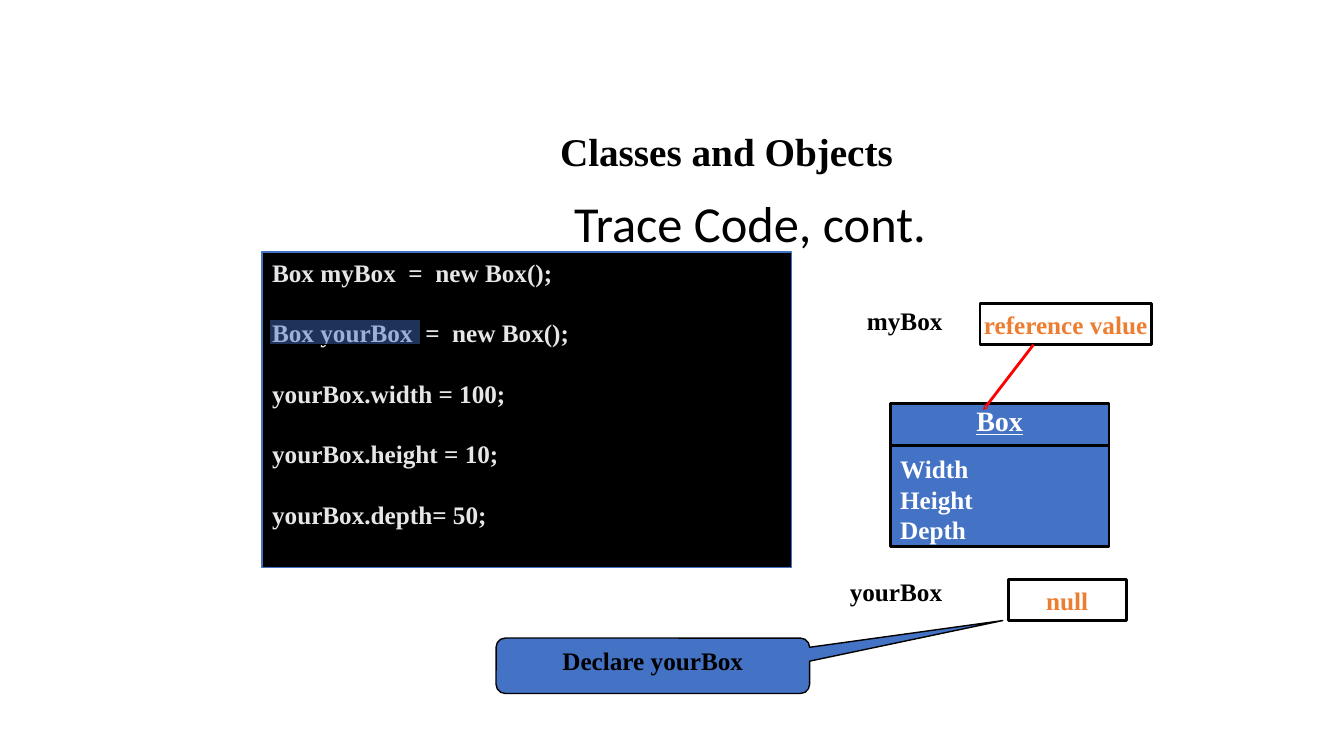
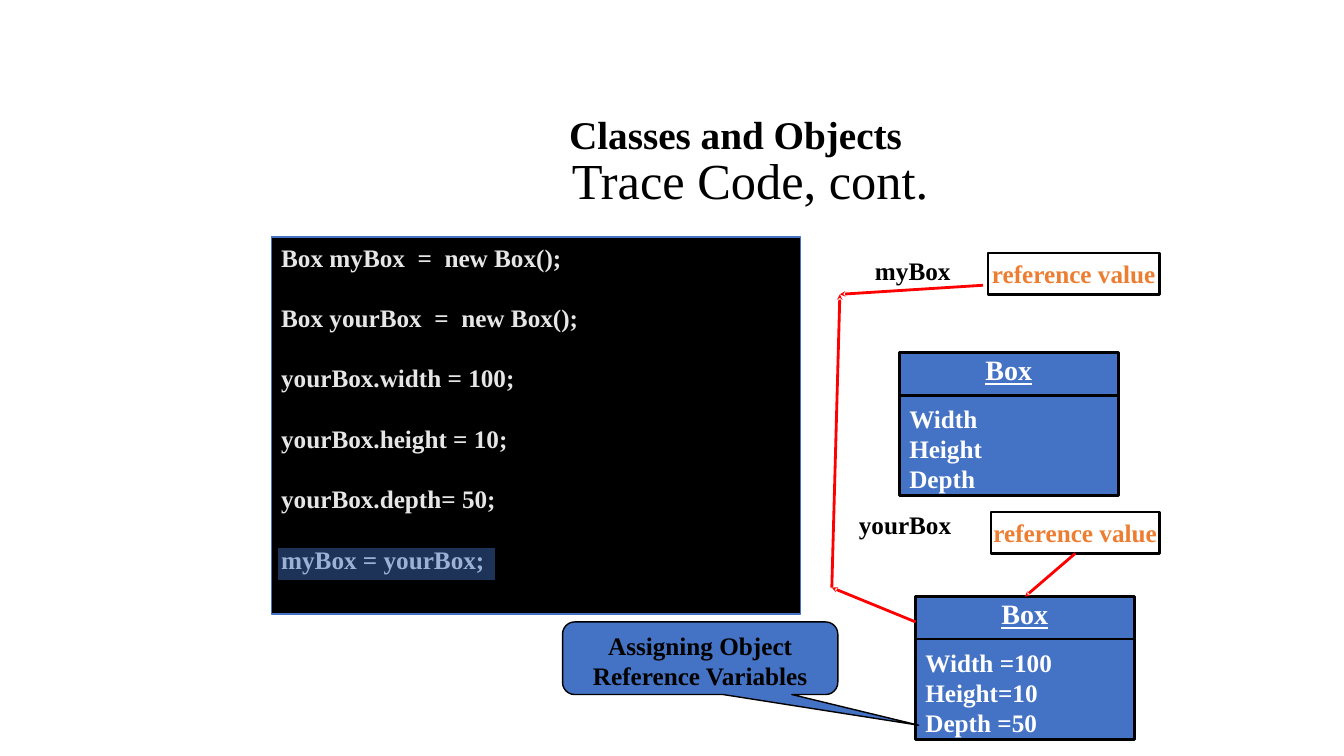
from lxml.etree import SubElement
from pptx import Presentation
from pptx.dml.color import RGBColor
from pptx.enum.shapes import MSO_CONNECTOR, MSO_SHAPE
from pptx.enum.text import MSO_ANCHOR, PP_ALIGN
from pptx.oxml.ns import qn
from pptx.util import Inches, Pt

BLACK = RGBColor(0x00, 0x00, 0x00)
WHITE = RGBColor(0xFF, 0xFF, 0xFF)
BLUE = RGBColor(0x44, 0x72, 0xC4)
ORANGE = RGBColor(0xED, 0x7D, 0x31)
GREY = RGBColor(0xE7, 0xE6, 0xE6)
RED = RGBColor(0xFF, 0x00, 0x00)
SERIF = "Times New Roman"
SANS = "Calibri"

CODE = [
    "Box myBox  =  new Box();",
    "Box yourBox  =  new Box();",
    "yourBox.width = 100;",
    "yourBox.height = 10;",
    "yourBox.depth= 50;",
]
CODE_GAP = 21.6
BAR = 0.42  # height of the name bar in an object box


def write(shape, lines, color, size=18, bold=True, font=SERIF,
          align=PP_ALIGN.LEFT, pad=(0.1, 0.05), anchor=MSO_ANCHOR.TOP,
          gap=0, space=None):
    frame = shape.text_frame
    frame.word_wrap = True
    frame.vertical_anchor = anchor
    frame.margin_left = frame.margin_right = Inches(pad[0])
    frame.margin_top = frame.margin_bottom = Inches(pad[1])
    for i, line in enumerate(lines):
        para = frame.add_paragraph() if i else frame.paragraphs[0]
        para.text = line
        para.alignment = align
        if i and gap:
            para.space_before = Pt(gap)
        if space:
            para.line_spacing = space
        para.font.name = font
        para.font.size = Pt(size)
        para.font.bold = bold
        para.font.color.rgb = color
    return frame


def add_text(slide, at, text, color=BLACK, **style):
    box = slide.shapes.add_textbox(*map(Inches, at))
    write(box, [text], color, **style)


def add_box(slide, at, fill=None, line=BLACK, width=1, kind=MSO_SHAPE.RECTANGLE):
    box = slide.shapes.add_shape(kind, *map(Inches, at))
    box.shadow.inherit = False
    if fill is None:
        box.fill.background()
    else:
        box.fill.solid()
        box.fill.fore_color.rgb = fill
    box.line.color.rgb = line
    box.line.width = Pt(width)
    return box


def add_line(slide, start, end, color=BLACK):
    line = slide.shapes.add_connector(
        MSO_CONNECTOR.STRAIGHT, *map(Inches, (*start, *end)))
    line.line.color.rgb = color
    line.line.width = Pt(2)
    SubElement(line._element.spPr, qn("a:effectLst"))
    return line


def add_arrow(slide, start, end):
    arrow = add_line(slide, start, end, RED)
    SubElement(arrow.line._get_or_add_ln(), qn("a:tailEnd"),
               type="stealth", w="sm", len="sm")
    return arrow


def add_heads(slide, top, title_top, font):
    left = 3.33 if font == SANS else 3.42
    add_text(slide, (left, top, 7.75, 0.58), "Classes and Objects", size=28,
             align=PP_ALIGN.CENTER, space=1.1)
    add_text(slide, (3.19, title_top, 8.5, 0.58), "Trace Code, cont.", size=36,
             bold=False, font=font, align=PP_ALIGN.CENTER, space=0.9)


def add_code(slide, at, lines):
    box = add_box(slide, at, BLACK, BLUE)
    write(box, lines, GREY, gap=CODE_GAP)


def add_mark(slide, at):
    mark = add_box(slide, at, BLUE)
    color = mark.fill._xPr.find(qn("a:solidFill"))[0]
    SubElement(color, qn("a:alpha"), val="45000")


def add_value(slide, left, top, width, text):
    box = add_box(slide, (left, top, width, 0.41), width=2)
    write(box, [text], ORANGE, align=PP_ALIGN.CENTER, pad=(0.01, 0.01),
          anchor=MSO_ANCHOR.MIDDLE)
    return box


def add_object(slide, left, top, fields):
    box = add_box(slide, (left, top, 2.17, 1.42), BLUE, width=2)
    paras = write(box, ["Box", *fields], WHITE, pad=(0.1, 0)).paragraphs
    paras[0].alignment = PP_ALIGN.CENTER
    paras[0].font.size = Pt(20)
    paras[0].font.underline = True
    paras[1].space_before = Pt(12)
    add_line(slide, (left, top + BAR), (left + 2.17, top + BAR))
    return box


def add_callout(slide, at, tip, text):
    box = add_box(slide, at, BLUE, kind=MSO_SHAPE.ROUNDED_RECTANGULAR_CALLOUT)
    box.adjustments[0], box.adjustments[1] = tip
    write(box, [text], BLACK, align=PP_ALIGN.CENTER)


def add_names(slide, mine, yours):
    add_text(slide, (*mine, 1.24, 0.4), "myBox")
    add_text(slide, (*yours, 1.34, 0.4), "yourBox")


def build_declare(slide):
    add_heads(slide, 1.17, 1.92, SANS)
    add_code(slide, (2.6, 2.5, 5.25, 3.13), CODE)
    add_mark(slide, (2.67, 3.17, 1.5, 0.25))
    # Variables and the object
    add_names(slide, (8.5, 2.98), (8.33, 5.67))
    add_value(slide, 9.72, 3.01, 1.7, "reference value")
    add_value(slide, 10, 5.75, 1.17, "null")
    add_object(slide, 8.83, 4, ["Width", "Height", "Depth"])
    add_arrow(slide, (10.25, 3.42), (9.75, 4.07))
    add_callout(slide, (4.92, 6.33, 3.11, 0.55), (1.116, -0.816),
                "Declare yourBox")


def build_assign(slide):
    add_heads(slide, 1, 1.5, SERIF)
    add_code(slide, (2.69, 2.35, 5.25, 3.74), [*CODE, "myBox = yourBox;"])
    add_mark(slide, (2.75, 5.43, 2.17, 0.33))
    # Variables and both objects
    add_names(slide, (8.58, 2.48), (8.42, 5))
    add_value(slide, 9.8, 2.51, 1.7, "reference value")
    yours = add_value(slide, 9.83, 5.08, 1.67, "reference value")
    add_object(slide, 8.92, 3.5, ["Width", "Height", "Depth"])
    target = add_object(slide, 9.08, 5.92, ["Width =100", "Height=10", "Depth =50"])
    # Arrows to the shared object
    arrow = add_arrow(slide, (10.67, 5.5), (10.17, 5.92))
    arrow.begin_connect(yours, 2)
    arrow.end_connect(target, 0)
    low, high = (8.25, 5.83), (8.33, 2.92)
    for start, end in ((low, high), ((9.75, 2.83), high), ((9.08, 6.17), low)):
        add_arrow(slide, start, end)
    add_callout(slide, (5.58, 6.17, 2.73, 0.72), (0.794, 0.923),
                "Assigning Object Reference Variables")


def main():
    deck = Presentation()
    deck.slide_width = Inches(13.33)
    deck.slide_height = Inches(7.5)
    for build in (build_declare, build_assign):
        build(deck.slides.add_slide(deck.slide_layouts[6]))
    deck.save("out.pptx")


if __name__ == "__main__":
    main()
